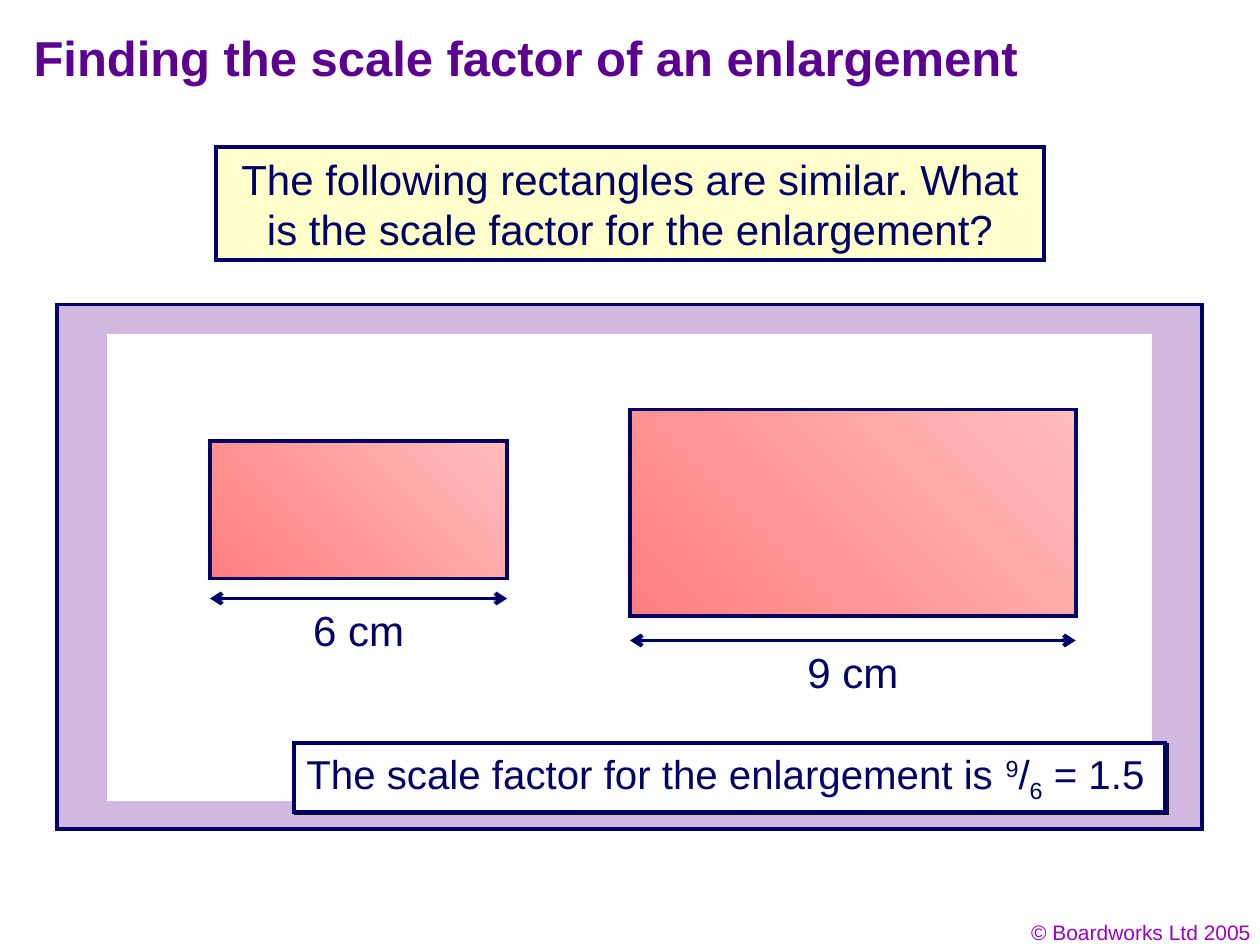
from dataclasses import dataclass
from typing import Optional

from lxml.etree import SubElement
from pptx import Presentation
from pptx.dml.color import RGBColor
from pptx.enum.shapes import MSO_CONNECTOR as Connector, MSO_SHAPE as Preset
from pptx.enum.text import MSO_ANCHOR as Anchor, PP_ALIGN as Align
from pptx.oxml.ns import qn
from pptx.util import Inches, Pt

COLORS = {
    "title": "5B0091", "text": "010066", "line": "000066", "credit": "9900CC",
    "panel": "D0B8E0", "white": "FFFFFF", "question": "FFFFCC",
    "light": "FEBCBC", "deep": "FF7F7F", "shadow": "111111",
}
COLUMNS, ROWS = 120, 90
CELL = Inches(10) / COLUMNS
LINE_WIDTH = Pt(2.25)
SCALE = 1.5
SMALL_WIDTH, SMALL_HEIGHT = 28.3, 13.1
LABEL_COLS, LABEL_ROWS = 12, 6


@dataclass
class Area:
    """A rectangle in grid columns and rows."""
    col: float
    row: float
    cols: float
    rows: float

    def emu(self) -> list[int]:
        return [grid(n) for n in (self.col, self.row, self.cols, self.rows)]


@dataclass
class Figure:
    """A measured rectangle: its corner, its scale and its width label."""
    col: float
    row: float
    scale: float
    arrow_row: float
    label: str


FIGURES = [
    Figure(20, 42, 1, 57, "6 cm"),
    Figure(60, 39, SCALE, 61, "9 cm"),
]


def grid(cells: float) -> int:
    return round(cells * CELL)


def rgb(name: str) -> RGBColor:
    return RGBColor.from_string(COLORS[name])


def write(box, pieces: list[tuple[str, int]], size: float, color: str = "text",
          align=Align.LEFT, bold: bool = False, anchor=Anchor.TOP) -> None:
    """Write one paragraph of (text, baseline percent) pieces."""
    frame = box.text_frame
    layout = {"word_wrap": True, "vertical_anchor": anchor,
              "margin_left": Inches(0.1), "margin_right": Inches(0.1),
              "margin_top": Inches(0.05), "margin_bottom": Inches(0.05)}
    for key, value in layout.items():
        setattr(frame, key, value)
    para = frame.paragraphs[0]
    para.alignment = align
    for text, baseline in pieces:
        span = para.add_run()
        span.text = text
        for key, value in {"name": "Arial", "size": Pt(size), "bold": bold}.items():
            setattr(span.font, key, value)
        span.font.color.rgb = rgb(color)
        if baseline:
            span.font._element.set("baseline", str(baseline * 1000))


def add_rectangle(page, area: Area, fill: Optional[str], outlined: bool = True):
    """Add a rectangle; without a fill name it gets the red gradient."""
    box = page.shapes.add_shape(Preset.RECTANGLE, *area.emu())
    box.shadow.inherit = False
    if fill:
        box.fill.solid()
        box.fill.fore_color.rgb = rgb(fill)
    else:
        box.fill.gradient()
        box.fill.gradient_angle = 225
        for stop, name in zip(box.fill.gradient_stops, ("light", "deep")):
            stop.color.rgb = rgb(name)
    if outlined:
        box.line.color.rgb = rgb("line")
        box.line.width = LINE_WIDTH
        SubElement(box.line._get_or_add_ln(), qn("a:miter"), lim="800000")
    else:
        box.line.fill.background()
    return box


def add_shadow(box) -> None:
    effects = box._element.spPr.find(qn("a:effectLst"))
    shadow = SubElement(effects, qn("a:outerShdw"), blurRad="0",
                        dist=str(Pt(1.4)), dir=str(45 * 60000),
                        algn="ctr", rotWithShape="0")
    SubElement(shadow, qn("a:srgbClr"), val=COLORS["shadow"])


def add_double_arrow(page, start: float, end: float, row: float) -> None:
    arrow = page.shapes.add_connector(
        Connector.STRAIGHT, grid(start), grid(row), grid(end), grid(row))
    arrow.line.color.rgb = rgb("line")
    arrow.line.width = LINE_WIDTH
    for tag in ("a:headEnd", "a:tailEnd"):
        SubElement(arrow.line._get_or_add_ln(), qn(tag), type="arrow")
    SubElement(arrow._element.spPr, qn("a:effectLst"))


def add_text(page, area: Area, text: str, size: float, **style) -> None:
    write(page.shapes.add_textbox(*area.emu()), [(text, 0)], size, **style)


def add_figure(page, figure: Figure) -> None:
    width, height = SMALL_WIDTH * figure.scale, SMALL_HEIGHT * figure.scale
    add_rectangle(page, Area(figure.col, figure.row, width, height), None)
    add_double_arrow(page, figure.col, figure.col + width, figure.arrow_row)
    label_col = figure.col + (width - LABEL_COLS) / 2
    add_text(page, Area(label_col, figure.arrow_row, LABEL_COLS, LABEL_ROWS),
             figure.label, 24, align=Align.CENTER)


def main() -> None:
    deck = Presentation()
    deck.slide_width, deck.slide_height = grid(COLUMNS), grid(ROWS)
    page = deck.slides.add_slide(deck.slide_layouts[5])

    # Title
    title = page.shapes.title
    title.left, title.top, title.width, title.height = Area(2, 2, 102, 8).emu()
    write(title, [("Finding the scale factor of an enlargement", 0)], 28,
          color="title", bold=True, anchor=Anchor.MIDDLE)
    title.text_frame.margin_bottom = Inches(0.15)

    # Question
    question = add_rectangle(page, Area(20.6, 14, 78.8, 10.8), "question")
    write(question, [("The following rectangles are similar. What is the scale "
                      "factor for the enlargement?", 0)], 24, align=Align.CENTER)

    # Framed panel with the two similar rectangles
    add_rectangle(page, Area(5.4, 29, 109.1, 50), "panel")
    add_rectangle(page, Area(10.2, 31.8, 99.5, 44.5), "white", outlined=False)
    for figure in FIGURES:
        add_figure(page, figure)

    # Answer
    answer = add_rectangle(page, Area(28, 70.8, 83, 6.5), "white")
    add_shadow(answer)
    write(answer, [("The scale factor for the enlargement is ", 0), ("9", 30),
                   ("/", 0), ("6", -25), (" = 1.5", 0)], 23)

    # Copyright line
    add_text(page, Area(92.3, 87, 28, 3.6), "© Boardworks Ltd 2005", 12,
             color="credit", align=Align.RIGHT)

    deck.save("out.pptx")


if __name__ == "__main__":
    main()
